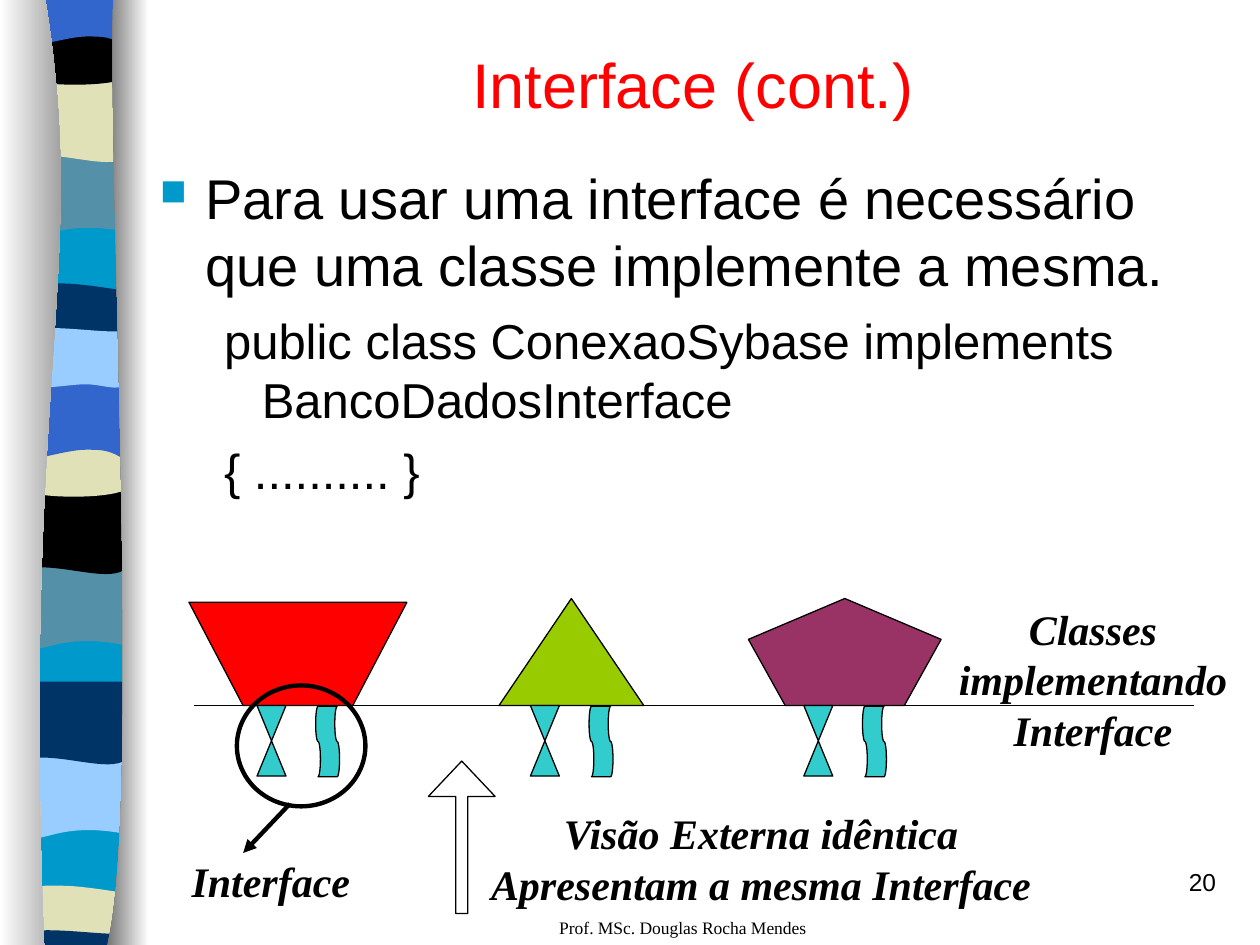
from lxml.etree import SubElement
from pptx import Presentation
from pptx.dml.color import RGBColor
from pptx.enum.shapes import MSO_CONNECTOR, MSO_SHAPE as SHAPE
from pptx.enum.text import MSO_ANCHOR as ANCHOR, MSO_AUTO_SIZE as AUTO, PP_ALIGN as ALIGN
from pptx.oxml.ns import qn
from pptx.util import Inches, Pt

COLORS = {
    "black": "000000", "white": "FFFFFF", "gray": "767676", "red": "FF0000",
    "sky": "0099CC", "steel": "5490A8", "sand": "E1E1B7", "blue": "3366CC",
    "navy": "003366", "pale": "99CCFF", "green": "99CC00", "plum": "993366",
    "teal": "33CCCC",
}

RIBBON_PIECES = {
    "full": [(0.81, 0), (0.81, 9.97), (0, 9.97), (0, 0)],
    "drape": [(0.81, 0), (0.81, 0.62), (0.25, 0.51, 0.14, 0.73, 0, 0.62), (0, 0)],
    "sag": [(0.81, 0), (0.81, 0.62), (0.67, 0.73, 0.25, 0.55, 0, 0.62), (0, 0)],
    "bowl": [(0.81, 0), (0.81, 0.43), (0.67, 0.5, 0.14, 0.5, 0, 0.43), (0, 0),
             (0.5, 0.06, 0.64, 0, 0.81, 0)],
    "arch": [(0.81, 0), (0.81, 0.63), (0.69, 0.55, 0.63, 0.55, 0.5, 0.55),
             (0.36, 0.55, 0.12, 0.63, 0, 0.63), (0, 0)],
    "lens": [(0.81, 0.07), (0.81, 0.39), (0.68, 0.44, 0.14, 0.44, 0, 0.39), (0, 0.07),
             (0.05, 0, 0.18, 0.01, 0.31, 0.01), (0.45, 0.01, 0.71, 0.05, 0.81, 0.07)],
    "ripple": [(0.81, 0.06), (0.81, 0.48), (0.76, 0.54, 0.63, 0.48, 0.5, 0.48),
               (0.36, 0.48, 0.08, 0.54, 0, 0.48), (0, 0.06),
               (0.12, 0, 0.55, 0.06, 0.69, 0.06), (0.82, 0.06, 0.78, 0.06, 0.81, 0.06)],
}

RIBBON = [
    ("full", "sky", 0.19, -1.26), ("drape", "steel", 0.19, 1.22),
    ("sag", "sand", 0.19, 0.63), ("bowl", "black", 0.19, 0.19),
    ("arch", "blue", 0.19, -0.26), ("drape", "steel", 0.18, 4.5),
    ("sag", "black", 0.18, 3.9), ("lens", "navy", 0.18, 2.24),
    ("bowl", "sand", 0.18, 3.46), ("arch", "blue", 0.18, 3.02),
    ("ripple", "pale", 0.18, 2.57), ("drape", "pale", 0.19, 6),
    ("sag", "navy", 0.19, 5.41), ("lens", "sand", 0.18, 7.02),
    ("ripple", "navy", 0.18, 7.35),
]


def rgb(name):
    return RGBColor.from_string(COLORS[name])


class SlideBuilder:
    thin, thick = 0.75, 2.5
    sans, serif = "Arial", "Times New Roman"

    def __init__(self, slide):
        self.slide = slide
        self.shapes = slide.shapes

    def paint(self, shape, fill=None, line=None):
        shape.shadow.inherit = False
        if fill:
            shape.fill.solid()
            shape.fill.fore_color.rgb = rgb(fill)
        else:
            shape.fill.background()
        if line:
            shape.line.color.rgb = rgb("black")
            shape.line.width = Pt(line)
        else:
            shape.line.fill.background()
        return shape

    def outline(self, steps, fill, left=0, top=0, line=None):
        points = [(Inches(left + step[i]), Inches(top + step[i + 1]))
                  for step in steps for i in range(0, len(step), 2)]
        builder = self.shapes.build_freeform(*points[0])
        builder.add_line_segments(points[1:], close=True)
        shape = builder.convert_to_shape()
        self.bend(shape, steps[1:])
        return self.paint(shape, fill, line)

    def bend(self, shape, steps):
        route = next(shape._element.iter(qn("a:path")))
        segments = iter(route.findall(qn("a:lnTo")))
        for step in steps:
            segment = next(segments)
            if len(step) == 6:
                segment.tag = qn("a:cubicBezTo")
                for follower in (next(segments), next(segments)):
                    segment.append(follower[0])
                    route.remove(follower)

    def shade(self, steps, start, end):
        fill = self.outline(steps, start).fill
        fill.gradient()
        fill.gradient_angle = 0
        for stop, color in zip(fill.gradient_stops, (start, end)):
            stop.color.rgb = rgb(color)

    def preset(self, kind, box, fill=None, line=thin, rotation=0, adjust=()):
        shape = self.shapes.add_shape(kind, *map(Inches, box))
        shape.rotation = rotation
        for i, value in enumerate(adjust):
            shape.adjustments[i] = value
        return self.paint(shape, fill, line)

    def line(self, start, end, width=thin, arrow=False):
        connector = self.shapes.add_connector(
            MSO_CONNECTOR.STRAIGHT, *map(Inches, start + end))
        connector.line.color.rgb = rgb("black")
        connector.line.width = Pt(width)
        properties = connector._element.spPr
        if arrow:
            SubElement(properties.get_or_add_ln(), qn("a:tailEnd"), type="triangle")
        SubElement(properties, qn("a:effectLst"))

    def text(self, box, content, size, font=sans, color="black", align=ALIGN.LEFT,
             anchor=ANCHOR.TOP, wrap=True):
        frame = self.shapes.add_textbox(*map(Inches, box)).text_frame
        frame.word_wrap = wrap
        frame.vertical_anchor = anchor
        frame.text = content
        for paragraph in frame.paragraphs:
            paragraph.alignment = align
            for run in paragraph.runs:
                run.font.size = Pt(size)
                run.font.name = font
                run.font.color.rgb = rgb(color)
        return frame

    def label(self, box, content):
        frame = self.text(box, content, 24, self.serif, align=ALIGN.CENTER,
                          anchor=ANCHOR.MIDDLE, wrap=False)
        frame.auto_size = AUTO.SHAPE_TO_FIT_TEXT
        for paragraph in frame.paragraphs:
            for run in paragraph.runs:
                run.font.bold = run.font.italic = True

    def body(self, box, statement, code_lines):
        frame = self.text(box, "\n".join([statement] + code_lines), 32)
        first, *code = frame.paragraphs
        properties = self.indent(first, 0.36, -0.36)
        bullet_color = SubElement(properties, qn("a:buClr"))
        SubElement(bullet_color, qn("a:srgbClr"), val=COLORS["sky"])
        SubElement(properties, qn("a:buSzPct"), val="65000")
        SubElement(properties, qn("a:buChar"), char="■")
        for paragraph in code:
            paragraph.level = 1
            paragraph.space_before = Pt(7)
            self.indent(paragraph, 0.81, -0.3)
            for run in paragraph.runs:
                run.font.size = Pt(28)

    def indent(self, paragraph, left, hanging):
        properties = paragraph._p.get_or_add_pPr()
        properties.set("marL", str(Inches(left)))
        properties.set("indent", str(Inches(hanging)))
        return properties


def main():
    deck = Presentation()
    deck.slide_width, deck.slide_height = Inches(10), Inches(7.5)
    page = SlideBuilder(deck.slides.add_slide(deck.slide_layouts[6]))

    for piece, color, left, top in RIBBON:
        page.outline(RIBBON_PIECES[piece], color, left, top)
    page.shade([(0.36, 0), (0.71, 2.16, 0.17, 2.96, 0.35, 7.5), (0, 7.5), (0, 0)],
               "white", "gray")
    page.shade([(0.9, 0), (0.85, 1.25, 1.13, 6.46, 0.85, 7.5), (1.18, 7.5), (1.18, 0)],
               "gray", "white")

    page.text((4.34, 7.23, 2.16, 0.27), "Prof. MSc. Douglas Rocha Mendes", 10, page.serif)
    page.text((7.67, 6.83, 2.08, 0.5), "20", 14, align=ALIGN.RIGHT)
    page.text((1.25, 0.25, 8.5, 0.83), "Interface (cont.)", 36, color="red",
              align=ALIGN.CENTER, anchor=ANCHOR.MIDDLE)
    page.body((1.17, 1.25, 8.58, 3.17),
              "Para usar uma interface é necessário que uma classe implemente a mesma.",
              ["public class ConexaoSybase implements BancoDadosInterface", "{ .......... }"])

    page.outline([(1.5, 4.78), (1.93, 5.6), (2.8, 5.6), (3.23, 4.78)], "red", line=page.thin)
    page.preset(SHAPE.ISOSCELES_TRIANGLE, (3.96, 4.75, 1.15, 0.85), "green")
    page.preset(SHAPE.REGULAR_PENTAGON, (5.94, 4.75, 1.53, 0.85), "plum")
    for column in range(3):
        left = 2.04 + 2.17 * column
        page.preset(SHAPE.FLOWCHART_COLLATE, (left, 5.6, 0.23, 0.56), "teal")
        page.preset(SHAPE.FLOWCHART_PUNCHED_TAPE, (left + 0.28, 5.79, 0.56, 0.19), "teal",
                    rotation=90)
    page.line((1.54, 5.6), (9.48, 5.6))
    page.label((7.51, 4.74, 2.33, 1.3), "Classes\nimplementando\nInterface")
    page.preset(SHAPE.UP_ARROW, (3.4, 6.04, 0.53, 1.21), "white", adjust=(0.18, 0.53))
    page.label((3.78, 6.36, 4.52, 0.9), "Visão Externa idêntica\nApresentam a mesma Interface")
    page.preset(SHAPE.OVAL, (1.88, 5.44, 1.02, 0.96), line=page.thick)
    page.line((2.3, 6.38), (1.93, 6.77), page.thick, arrow=True)
    page.label((1.42, 6.74, 1.46, 0.5), "Interface")

    deck.save("out.pptx")


if __name__ == "__main__":
    main()
